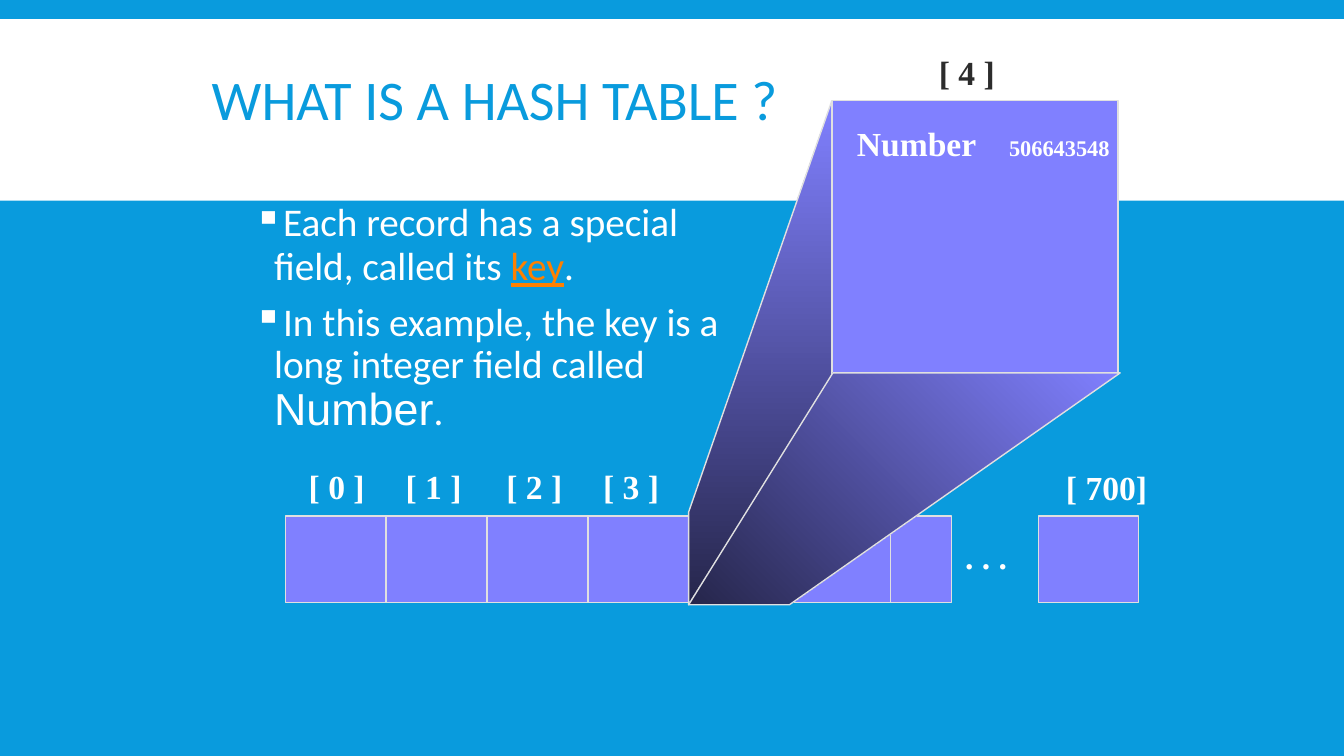
from lxml import etree
from pptx import Presentation
from pptx.dml.color import RGBColor
from pptx.enum.shapes import MSO_CONNECTOR, MSO_SHAPE
from pptx.enum.text import MSO_ANCHOR, MSO_AUTO_SIZE, PP_ALIGN
from pptx.oxml.ns import qn
from pptx.util import Inches, Pt

RECT = MSO_SHAPE.RECTANGLE
LINE = MSO_CONNECTOR.STRAIGHT
MIDDLE = MSO_ANCHOR.MIDDLE
FIXED = MSO_AUTO_SIZE.NONE
LEFT, CENTER = PP_ALIGN.LEFT, PP_ALIGN.CENTER
COLORS = {
    "blue": "099BDD", "white": "FFFFFF", "cell": "8080FF", "edge": "E0E0E0",
    "dark": "26264B", "key": "FF8000", "ink": "2C2C2C",
}
BAR_X, BAR_Y, BAR_H = 2.83, 5.12, 0.86


def color(name):
    """Return the named colour."""
    return RGBColor.from_string(COLORS[name])


def style(font, size, name, face="Calibri", bold=False):
    """Set the size, colour and face of a font."""
    font.size, font.name, font.bold = Pt(size), face, bold
    font.color.rgb = color(name)


def outline(shape):
    """Give a shape or line the thin pale edge."""
    shape.line.color.rgb = color("edge")
    shape.line.width = Pt(1)


def add_box(slide, x, y, w, h, fill="cell", edge=True):
    """Add a plain filled rectangle."""
    box = slide.shapes.add_shape(RECT, Inches(x), Inches(y), Inches(w), Inches(h))
    box.shadow.inherit = False
    box.fill.solid()
    box.fill.fore_color.rgb = color(fill)
    if edge:
        outline(box)
    else:
        box.line.fill.background()
    return box


def add_rule(slide, x):
    """Add a divider between two cells of the table bar."""
    rule = slide.shapes.add_connector(
        LINE, Inches(x), Inches(BAR_Y), Inches(x), Inches(BAR_Y + BAR_H))
    outline(rule)
    etree.SubElement(rule._element.spPr, qn("a:effectLst"))


def add_face(slide, points, angle):
    """Add a shaded side face through the given points."""
    spots = [(Inches(x), Inches(y)) for x, y in points]
    path = slide.shapes.build_freeform(*spots[0])
    path.add_line_segments(spots[1:], close=True)
    face = path.convert_to_shape()
    face.shadow.inherit = False
    face.fill.gradient()
    face.fill.gradient_angle = angle
    for stop, name, place in zip(face.fill.gradient_stops, ("cell", "dark"), (0, 1)):
        stop.color.rgb = color(name)
        stop.position = place
    outline(face)


def add_text(slide, x, y, w, h, wrap=True):
    """Add an empty text box and return its frame."""
    frame = slide.shapes.add_textbox(
        Inches(x), Inches(y), Inches(w), Inches(h)).text_frame
    frame.word_wrap = wrap
    return frame


def add_label(slide, text, x, y, w=0.76, name="white"):
    """Add a centred bold serif label."""
    para = add_text(slide, x, y, w, 0.47, False).paragraphs[0]
    para.text, para.alignment, para.line_spacing = text, CENTER, 0.93
    style(para.font, 24, name, "Times New Roman", True)


def add_field(slide):
    """Add the field name and its value, parted by a tab stop."""
    para = add_text(slide, 8.4, 1.21, 2.74, 0.47).paragraphs[0]
    para.line_spacing = 0.93
    style(para.font, 24, "white", "Times New Roman", True)
    stops = etree.Element(qn("a:tabLst"))
    etree.SubElement(stops, qn("a:tab"), pos=str(Inches(1.51)), algn="l")
    para._p.get_or_add_pPr().find(qn("a:defRPr")).addprevious(stops)
    for text, size in (("Number\t", 24), ("506643548", 16)):
        run = para.add_run()
        run.text = text
        style(run.font, size, "white", "Times New Roman", True)


def add_point(para, parts, spacing):
    """Fill a bulleted paragraph with (text, size, colour, face) parts."""
    para.line_spacing, para.space_before, para.space_after = spacing, Pt(7), Pt(2)
    props = para._p.get_or_add_pPr()
    props.set("marL", str(Inches(0.2)))
    props.set("indent", str(-Inches(0.2)))
    tint = etree.SubElement(props, qn("a:buClr"))
    etree.SubElement(tint, qn("a:srgbClr"), val=COLORS["white"])
    etree.SubElement(props, qn("a:buChar"), char="▪")
    for text, size, name, face in parts:
        run = para.add_run()
        run.text = text
        style(run.font, size, name, face)
        run.font.underline = name == "key"


def add_title(slide, text):
    """Format the title placeholder over its white band."""
    title = slide.shapes.title
    title.left, title.top = Inches(2), Inches(0.38)
    title.width, title.height = Inches(8.5), Inches(1.25)
    frame = title.text_frame
    frame.text, frame.auto_size, frame.vertical_anchor = text, FIXED, MIDDLE
    para = frame.paragraphs[0]
    para.alignment, para.line_spacing = LEFT, 0.95
    style(para.font, 40, "blue")
    band = add_box(slide, 0, 0.19, 13.33, 1.8, "white", False)
    title._element.addprevious(band._element)


def add_body(slide):
    """Add the two points about the key."""
    frame = add_text(slide, 2.42, 1.94, 4.95, 2.5)
    add_point(frame.paragraphs[0], [
        ("Each record has a special field, called its ", 28, "white", "Calibri"),
        ("key", 28, "key", "Calibri"), (".", 28, "white", "Calibri")], 0.95)
    add_point(frame.add_paragraph(), [
        ("In this example, the key is a long integer field called ",
         28, "white", "Calibri"),
        ("Number", 32, "white", "Arial"), (".", 28, "white", "Calibri")], 0.9)


def main():
    """Build the hash table slide."""
    deck = Presentation()
    deck.slide_width, deck.slide_height = Inches(13.33), Inches(7.5)
    slide = deck.slides.add_slide(deck.slide_layouts[5])
    slide.background.fill.solid()
    slide.background.fill.fore_color.rgb = color("blue")
    add_title(slide, "WHAT IS A HASH TABLE ?")
    add_body(slide)
    add_box(slide, BAR_X, BAR_Y, 6.61, BAR_H)
    for step in range(1, 7):
        add_rule(slide, BAR_X + step)
    for index, x in enumerate((2.96, 3.92, 4.92, 5.88)):
        add_label(slide, f"[ {index} ]", x, 4.61)
    add_box(slide, 10.3, BAR_Y, 0.99, BAR_H)
    add_label(slide, ". . .", 9.47, 5.3, 0.62)
    add_label(slide, "[ 700]", 10.47, 4.62, 1.01)
    add_box(slide, 8.26, 1, 2.83, 2.71)
    add_face(slide, [(6.83, 5.08), (8.25, 1), (8.25, 3.75), (6.83, 6)], 270)
    add_face(slide, [(6.83, 6), (8.26, 3.7), (11.11, 3.7), (7.83, 6)], 225)
    add_label(slide, "[ 4 ]", 9.21, 0.5, name="ink")
    add_field(slide)
    deck.save("out.pptx")


main()
